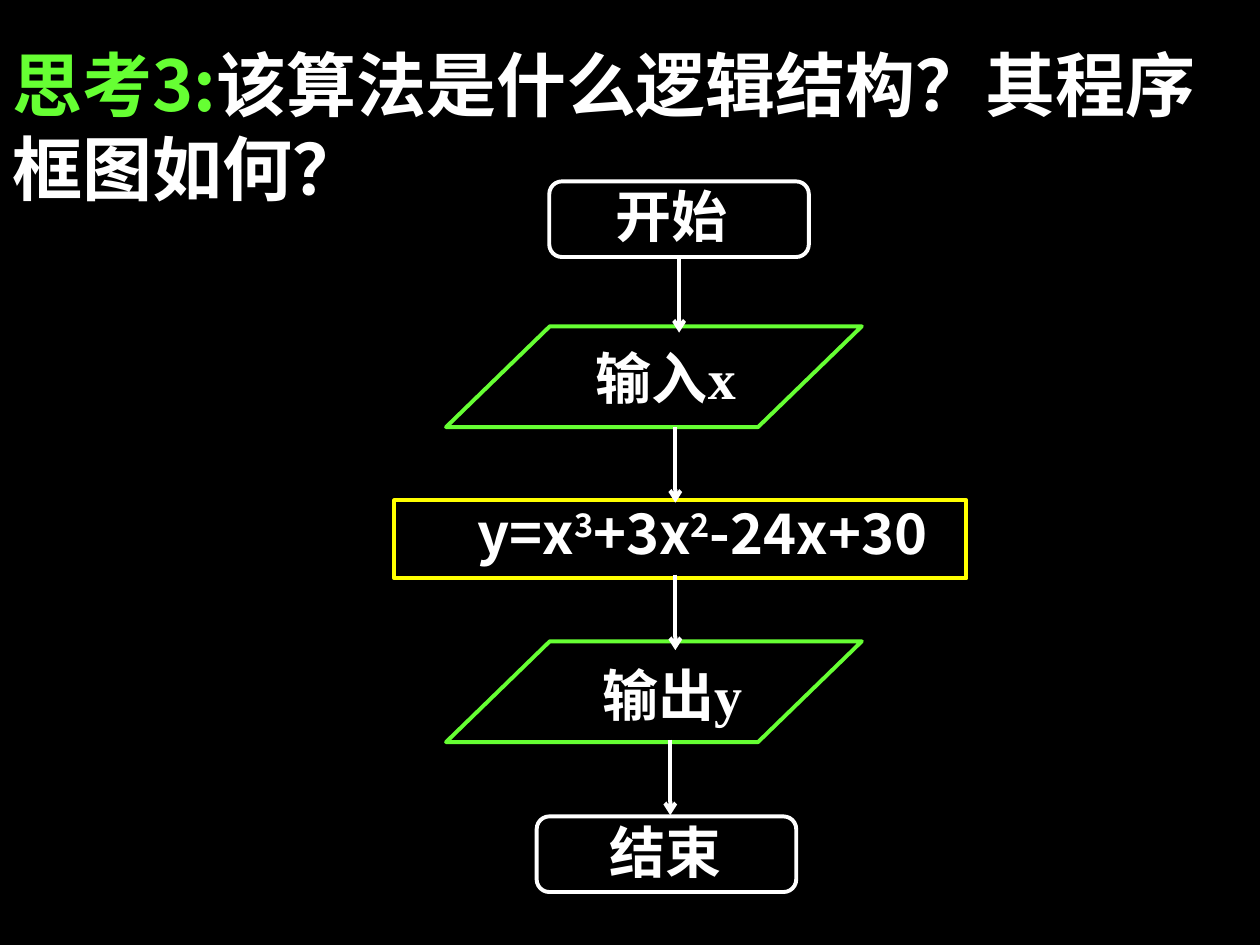
from pptx import Presentation
from pptx import util as u
from pptx.dml.color import RGBColor
from pptx.enum import shapes, text
from pptx.oxml.ns import qn
from lxml import etree

SANS, SERIF = "Noto Sans CJK SC", "Times New Roman"
WHITE, GREEN, YELLOW = "FFFFFF", "66FF33", "FFFF00"
KINDS = shapes.MSO_SHAPE
ARROW_LENGTH = 0.6


def colour(value):
    return RGBColor.from_string(value)


def inches(values):
    return [u.Inches(value) for value in values]


def apply(target, formats):
    for name, value in formats.items():
        setattr(target, name, value)


def add_span(para, words, font, size, hue=WHITE, raised=False):
    span = para.add_run()
    span.text = words
    apply(span.font, {"name": font, "size": u.Pt(size), "bold": True})
    span.font.color.rgb = colour(hue)
    properties = span.font._element
    east_asian = etree.Element(qn("a:ea"), typeface=SANS)
    properties.find(qn("a:latin")).addnext(east_asian)
    if raised:
        properties.set("baseline", "30000")


def style_line(line, hue):
    line.color.rgb = colour(hue)
    line.width = u.Pt(2.25)


def add_heading(page, box):
    title = page.shapes.title
    apply(title, dict(zip(("left", "top", "width", "height"), inches(box))))
    apply(title.text_frame, {
        "word_wrap": True,
        "auto_size": text.MSO_AUTO_SIZE.NONE,
        "vertical_anchor": text.MSO_ANCHOR.TOP,
    })
    para = title.text_frame.paragraphs[0]
    para.alignment = text.PP_ALIGN.LEFT
    add_span(para, "思考3:", SANS, 40, GREEN)
    add_span(para, "该算法是什么逻辑结构？其程序框图如何？", SANS, 40)


def add_step(page, kind, box, hue, label_box, parts, font, align, adjustment=None):
    step = page.shapes.add_shape(kind, *inches(box))
    step.shadow.inherit = False
    step.fill.background()
    style_line(step.line, hue)
    if adjustment is not None:
        step.adjustments[0] = adjustment
    label = page.shapes.add_textbox(*inches(label_box))
    label.text_frame.word_wrap = True
    para = label.text_frame.paragraphs[0]
    para.alignment = align
    for words, raised in parts:
        add_span(para, words, font, 32, raised=raised)
    return step


def add_arrow(page, x, top, source=None):
    arrow = page.shapes.add_connector(
        shapes.MSO_CONNECTOR.STRAIGHT, *inches((x, top, x, top + ARROW_LENGTH)))
    if source is not None:
        arrow.begin_connect(source, 2)
    style_line(arrow.line, WHITE)
    etree.SubElement(arrow.line._get_or_add_ln(), qn("a:tailEnd"), type="arrow")
    etree.SubElement(arrow._element.spPr, qn("a:effectLst"))


def add_flowchart(page, left, top):
    def place(x, y, width, height):
        return left + x, top + y, width, height

    def terminal(x, y, label_box, words):
        return add_step(page, KINDS.ROUNDED_RECTANGLE, place(x, y, 2.06, 0.6), WHITE,
                        place(*label_box), [(words, False)], SERIF,
                        text.PP_ALIGN.JUSTIFY, 0.167)

    def data(y, label_box, words):
        add_step(page, KINDS.PARALLELOGRAM, place(0.41, y, 3.3, 0.8), GREEN,
                 place(*label_box), [(words, False)], SERIF,
                 text.PP_ALIGN.JUSTIFY, 1.03)

    start = terminal(1.23, 0, (1.66, -0.05, 1.42, 0.55), "开始")
    data(1.15, (1.5, 1.24, 1.7, 0.55), "输入x")
    formula = [("y=x", False), ("3", True), ("+3x", False), ("2", True),
               ("-24x+30", False)]
    add_step(page, KINDS.RECTANGLE, place(0, 2.53, 4.54, 0.62), YELLOW,
             place(0.56, 2.47, 4.07, 0.64), formula, SANS, text.PP_ALIGN.LEFT)
    data(3.65, (1.55, 3.75, 1.69, 0.58), "输出y")
    terminal(1.13, 5.04, (1.61, 5, 1.58, 0.52), "结束")

    add_arrow(page, left + 2.26, top + 0.6, start)
    for x, y in ((2.23, 1.95), (2.23, 3.12), (2.19, 4.43)):
        add_arrow(page, left + x, top + y)


def main():
    deck = Presentation()
    apply(deck, {"slide_width": u.Inches(10), "slide_height": u.Inches(7.5)})
    page = deck.slides.add_slide(deck.slide_layouts.get_by_name("Title Only"))
    page.background.fill.solid()
    page.background.fill.fore_color.rgb = colour("000000")
    add_heading(page, (0, 0.28, 10, 1.44))
    add_flowchart(page, 3.13, 1.44)
    deck.save("out.pptx")


if __name__ == "__main__":
    main()
